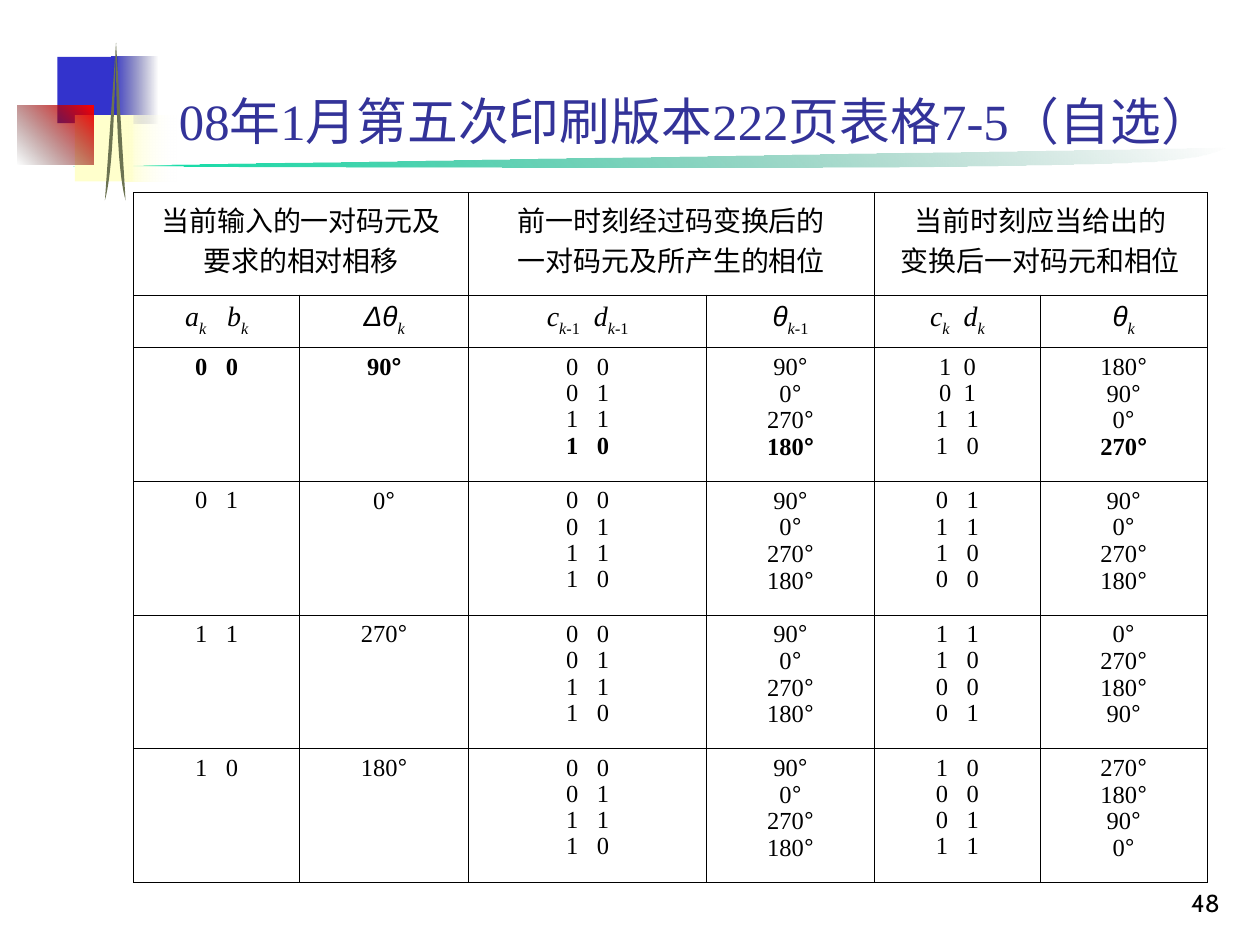
from lxml import etree
from pptx import Presentation
from pptx.dml.color import RGBColor as Rgb
from pptx.enum.shapes import MSO_SHAPE as Preset
from pptx.enum.text import MSO_ANCHOR as Anchor, PP_ALIGN as Align
from pptx.oxml import parse_xml
from pptx.oxml.ns import nsdecls, qn
from pptx.util import Inches, Pt

COLORS = {
    "title": "333399", "text": "000000", "border": "000000",
    "blue": "3333CC", "navy": "18185E", "cream": "FFFFCC", "white": "FFFFFF",
    "red": "FF0000", "ember": "100000", "needle": "6C7351",
    "mint": "00E4A8", "pine": "006A4E",
}
SERIF, SANS, NUMBER = "Times New Roman", "Arial", "Cabin"
WIDTH, HEIGHT = Inches(10), Inches(7.5)

GROUPS = [
    ["当前输入的一对码元及", "要求的相对相移"],
    ["前一时刻经过码变换后的", "一对码元及所产生的相位"],
    ["当前时刻应当给出的", "变换后一对码元和相位"],
]
SYMBOLS = [
    [("a", "i"), ("k", "is"), (" ", "gg"), ("b", "i"), ("k", "is")],
    [("Δθ", "iA"), ("k", "is")],
    [("c", "i"), ("k", "is"), ("-1", "s"), (" ", "g"),
     ("d", "i"), ("k", "is"), ("-1", "s")],
    [("θ", "iA"), ("k", "is"), ("-1", "s")],
    [("c", "i"), ("k", "is"), (" ", "g"), ("d", "i"), ("k", "is")],
    [("θ", "iA"), ("k", "is")],
]
PREVIOUS_CODES = ["00", "01", "11", "10"]
PREVIOUS_PHASES = [90, 0, 270, 180]
CASES = [
    ("00", 90, ["10", "01", "11", "10"], [180, 90, 0, 270]),
    ("01", 0, ["01", "11", "10", "00"], [90, 0, 270, 180]),
    ("11", 270, ["11", "10", "00", "01"], [0, 270, 180, 90]),
    ("10", 180, ["10", "00", "01", "11"], [270, 180, 90, 0]),
]
BOLD_LINES = {(0, 0, 0), (0, 1, 0), (0, 2, 3), (0, 3, 3), (0, 5, 3)}
TIGHT_PAIRS = {(0, 4, 0), (0, 4, 1)}


def percent_box(left, top, width, height):
    return (int(WIDTH * left / 100), int(HEIGHT * top / 100),
            int(WIDTH * width / 100), int(HEIGHT * height / 100))


def inner_box(box, left, top, width, height):
    x, y, w, h = box
    return int(x + w * left), int(y + h * top), int(w * width), int(h * height)


def paint(shape, *stops, angle=0):
    shape.shadow.inherit = False
    shape.line.fill.background()
    if len(stops) == 1:
        shape.fill.solid()
        shape.fill.fore_color.rgb = Rgb.from_string(COLORS[stops[0]])
        return
    shape.fill.gradient()
    gradient = shape._element.spPr.find(qn("a:gradFill"))
    marks = "".join(
        f'<a:gs pos="{pos}"><a:srgbClr val="{COLORS[name]}">'
        f'<a:alpha val="{alpha * 1000}"/></a:srgbClr></a:gs>'
        for pos, (name, alpha) in zip((0, 100000), stops))
    gradient.getparent().replace(gradient, parse_xml(
        f'<a:gradFill {nsdecls("a")} rotWithShape="1"><a:gsLst>{marks}</a:gsLst>'
        f'<a:lin ang="{angle * 60000}" scaled="0"/></a:gradFill>'))


def bezier(start, first, second, end, steps=20):
    for step in range(1, steps + 1):
        t = step / steps
        yield tuple((1 - t) ** 3 * a + 3 * (1 - t) ** 2 * t * b
                    + 3 * (1 - t) * t ** 2 * c + t ** 3 * d
                    for a, b, c, d in zip(start, first, second, end))


def curved_outline(slide, box, start, *curves):
    x, y, w, h = box
    points = [start]
    for curve in curves:
        points += bezier(points[-1], *curve)
    corners = [(int(x + w * px), int(y + h * py)) for px, py in points]
    builder = slide.shapes.build_freeform(*corners[0])
    builder.add_line_segments(corners[1:], close=True)
    return builder.convert_to_shape()


def add_swoosh(slide, box):
    swoosh = curved_outline(slide, box, (0, 0.82),
                            ((0.32, 0.88), (0.63, 1), (0.8, 0.82)),
                            ((0.97, 0.71), (0.97, 0.53), (1, 0)))
    paint(swoosh, ("mint", 100), ("pine", 0), angle=315)


def add_emblem(slide, box):
    tiles = [
        ((0.25, 0.09, 0.38, 0.42), ["blue"], 0),
        ((0.59, 0.09, 0.29, 0.42), [("blue", 100), ("navy", 0)], 0),
        ((0.36, 0.46, 0.37, 0.42), ["cream"], 0),
        ((0.68, 0.46, 0.32, 0.42), [("cream", 100), ("white", 0)], 0),
        ((0, 0.4, 0.48, 0.37), [("ember", 0), ("red", 100)], 315),
    ]
    for place, stops, angle in tiles:
        tile = slide.shapes.add_shape(Preset.RECTANGLE, *inner_box(box, *place))
        paint(tile, *stops, angle=angle)
    for curve in (((0.61, 0.41), (0.6, 0.82), (0.55, 1)),
                  ((0.62, 0.41), (0.63, 0.82), (0.68, 1))):
        paint(curved_outline(slide, box, (0.62, 0), curve), "needle")


def style_run(run, size, font=SERIF, color="text"):
    run.font.size, run.font.name = Pt(size), font
    run.font.color.rgb = Rgb.from_string(COLORS[color])


def add_caption(slide, box, words, size, font, color, align, spacing=1.0):
    frame = slide.shapes.add_textbox(*box).text_frame
    frame.word_wrap = True
    frame.vertical_anchor = Anchor.BOTTOM
    frame.text = words
    line = frame.paragraphs[0]
    line.alignment, line.line_spacing = align, spacing
    style_run(line.runs[0], size, font, color)


def write_lines(cell, lines, size, spacing=1.0):
    frame = cell.text_frame
    for index, pieces in enumerate(lines):
        line = frame.add_paragraph() if index else frame.paragraphs[0]
        line.alignment, line.line_spacing = Align.CENTER, spacing
        for words, marks in pieces:
            run = line.add_run()
            run.text = words
            style_run(run, size, SANS if "A" in marks else SERIF)
            run.font.bold, run.font.italic = "b" in marks, "i" in marks
            if "s" in marks:
                run.font._element.set("baseline", "-30000")
            if "g" in marks:
                run.font._element.set("spc", str(marks.count("g") * size * 25))


def value_pieces(value, spot):
    bold = "b" if spot in BOLD_LINES else ""
    if isinstance(value, int):
        return [(str(value), bold), ("°", bold + "A")]
    gap = "g" if spot in TIGHT_PAIRS else "gg"
    return [(value[0], bold), (" ", bold + gap), (value[1], bold)]


def outline_cell(cell):
    cell.fill.background()
    props = cell._tc.get_or_add_tcPr()
    for order, side in enumerate(("lnL", "lnR", "lnT", "lnB")):
        edge = etree.Element(qn(f"a:{side}"), w=str(Pt(0.45)))
        fill = etree.SubElement(edge, qn("a:solidFill"))
        etree.SubElement(fill, qn("a:srgbClr"), val=COLORS["border"])
        props.insert(order, edge)


def add_phase_table(slide, box):
    column_parts = [1.32, 1.34, 1.89, 1.33, 1.32, 1.32]
    row_parts = [0.81, 0.42] + [1.06] * len(CASES)
    table = slide.shapes.add_table(len(row_parts), len(column_parts), *box).table
    table.first_row = table.horz_banding = False
    for column, part in zip(table.columns, column_parts):
        column.width = int(box[2] * part / sum(column_parts))
    for row, part in zip(table.rows, row_parts):
        row.height = int(box[3] * part / sum(row_parts))
    for cell in table.iter_cells():
        outline_cell(cell)

    for index, heading in enumerate(GROUPS):
        cell = table.cell(0, 2 * index)
        cell.merge(table.cell(0, 2 * index + 1))
        write_lines(cell, [[(words, "")] for words in heading], 16)
    for index, pieces in enumerate(SYMBOLS):
        write_lines(table.cell(1, index), [pieces], 16)
    for case, (pair, shift, codes, phases) in enumerate(CASES):
        columns = [[pair], [shift], PREVIOUS_CODES, PREVIOUS_PHASES, codes, phases]
        for index, values in enumerate(columns):
            lines = [value_pieces(value, (case, index, number))
                     for number, value in enumerate(values)]
            write_lines(table.cell(case + 2, index), lines, 14, 0.97)


def main():
    deck = Presentation()
    deck.slide_width, deck.slide_height = WIDTH, HEIGHT
    slide = deck.slides.add_slide(deck.slide_layouts[6])
    add_swoosh(slide, percent_box(5.8, 15.6, 91.7, 2.27))
    add_emblem(slide, percent_box(1.4, 4.53, 12.6, 16.67))
    add_caption(slide, percent_box(77, 91.07, 20.8, 6.67), "48",
                14, NUMBER, "text", Align.RIGHT)
    add_caption(slide, percent_box(12.6, 3.07, 85.2, 13.47),
                "08年1月第五次印刷版本222页表格7-5（自选）",
                29, SERIF, "title", Align.CENTER, 0.8)
    add_phase_table(slide, percent_box(10.6, 20.4, 85.2, 73))
    deck.save("out.pptx")


if __name__ == "__main__":
    main()
